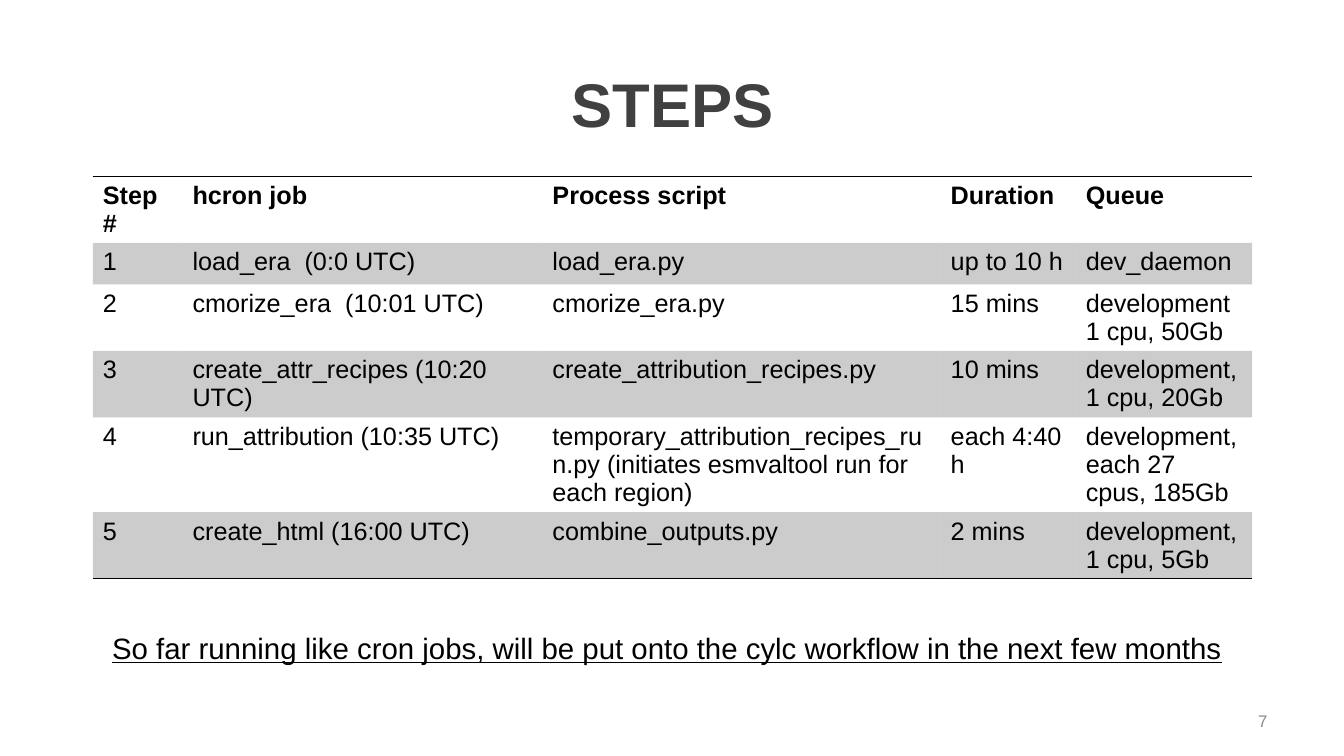
"""Build a slide that lists the steps of the workflow in a table."""
from lxml.etree import SubElement as Sub
from pptx import Presentation
from pptx.dml.color import RGBColor
from pptx.enum.text import MSO_ANCHOR as Anchor, PP_ALIGN as Align
from pptx.oxml.ns import qn
from pptx.util import Inches, Pt

BLACK = RGBColor(0x00, 0x00, 0x00)
DARK = RGBColor(0x40, 0x40, 0x40)
GREY = RGBColor(0x8C, 0x8C, 0x8C)

HEAD = {"size": Pt(44), "bold": True, "color": DARK}
CELL = {"size": Pt(18), "bold": False, "color": BLACK}
TOP = {**CELL, "bold": True}
NOTE = {"size": Pt(21), "underline": True, "color": BLACK}
PAGE = {"size": Pt(12), "color": GREY}

WIDTHS = [0.89, 3.57, 3.95, 1.34, 1.75]
STEPS = [
    ["Step #", "hcron job", "Process script", "Duration", "Queue"],
    ["1", "load_era  (0:0 UTC)", "load_era.py", "up to 10 h", "dev_daemon"],
    ["2", "cmorize_era  (10:01 UTC)", "cmorize_era.py", "15 mins",
     "development\n1 cpu, 50Gb"],
    ["3", "create_attr_recipes (10:20 UTC)", "create_attribution_recipes.py",
     "10 mins", "development,\n1 cpu, 20Gb"],
    ["4", "run_attribution (10:35 UTC)",
     "temporary_attribution_recipes_run.py (initiates esmvaltool run for each region)",
     "each 4:40 h", "development,\neach 27 cpus, 185Gb"],
    ["5", "create_html (16:00 UTC)", "combine_outputs.py", "2 mins",
     "development,\n1 cpu, 5Gb"],
]


def write(frame, text, look, align=Align.LEFT):
    frame.word_wrap = True
    frame.text = text
    for para in frame.paragraphs:
        para.alignment = align
        for run in para.runs:
            run.font.name = "Arial"
            for key, value in look.items():
                if key == "color":
                    run.font.color.rgb = value
                else:
                    setattr(run.font, key, value)


def place(shape, left, top, width, height):
    shape.left, shape.top = Inches(left), Inches(top)
    shape.width, shape.height = Inches(width), Inches(height)


def add_text(slide, box, text, look, align, anchor=Anchor.TOP):
    frame = slide.shapes.add_textbox(*map(Inches, box)).text_frame
    frame.vertical_anchor = anchor
    write(frame, text, look, align)


def rule(cell, sides):
    props = cell._tc.get_or_add_tcPr()
    for side in "LRTB":
        line = Sub(props, qn(f"a:ln{side}"), w=str(Pt(1)))
        if side in sides:
            fill = Sub(line, qn("a:solidFill"))
            Sub(fill, qn("a:srgbClr"), val=str(BLACK))
        else:
            Sub(line, qn("a:noFill"))


def shade(cell, dark):
    if not dark:
        cell.fill.background()
        return
    cell.fill.solid()
    cell.fill.fore_color.rgb = BLACK
    tint = cell._tc.tcPr.find(f"{qn('a:solidFill')}/{qn('a:srgbClr')}")
    Sub(tint, qn("a:alpha"), val="20000")


def add_steps(slide):
    box = map(Inches, (0.92, 1.75, 11.5, 2.46))
    table = slide.shapes.add_table(len(STEPS), len(WIDTHS), *box).table
    for column, width in zip(table.columns, WIDTHS):
        column.width = Inches(width)
    sides = {0: "TB", len(STEPS) - 1: "B"}
    for row, texts in enumerate(STEPS):
        table.rows[row].height = Inches(0.41)
        for col, text in enumerate(texts):
            cell = table.cell(row, col)
            write(cell.text_frame, text, CELL if row else TOP)
            rule(cell, sides.get(row, ""))
            shade(cell, row % 2)


def main():
    deck = Presentation()
    deck.slide_width, deck.slide_height = Inches(13.33), Inches(7.5)
    slide = deck.slides.add_slide(deck.slide_layouts[5])
    title = slide.shapes.title
    place(title, 0.92, 0.4, 11.5, 1.25)
    title.text_frame.vertical_anchor = Anchor.MIDDLE
    write(title.text_frame, "STEPS", HEAD, Align.CENTER)
    add_steps(slide)
    add_text(slide, (0.82, 6.2, 11.59, 0.45),
             "So far running like cron jobs, will be put onto the cylc "
             "workflow in the next few months", NOTE, Align.CENTER)
    add_text(slide, (9.56, 6.95, 3.11, 0.4), "7", PAGE, Align.RIGHT, Anchor.MIDDLE)
    deck.save("out.pptx")


if __name__ == "__main__":
    main()
